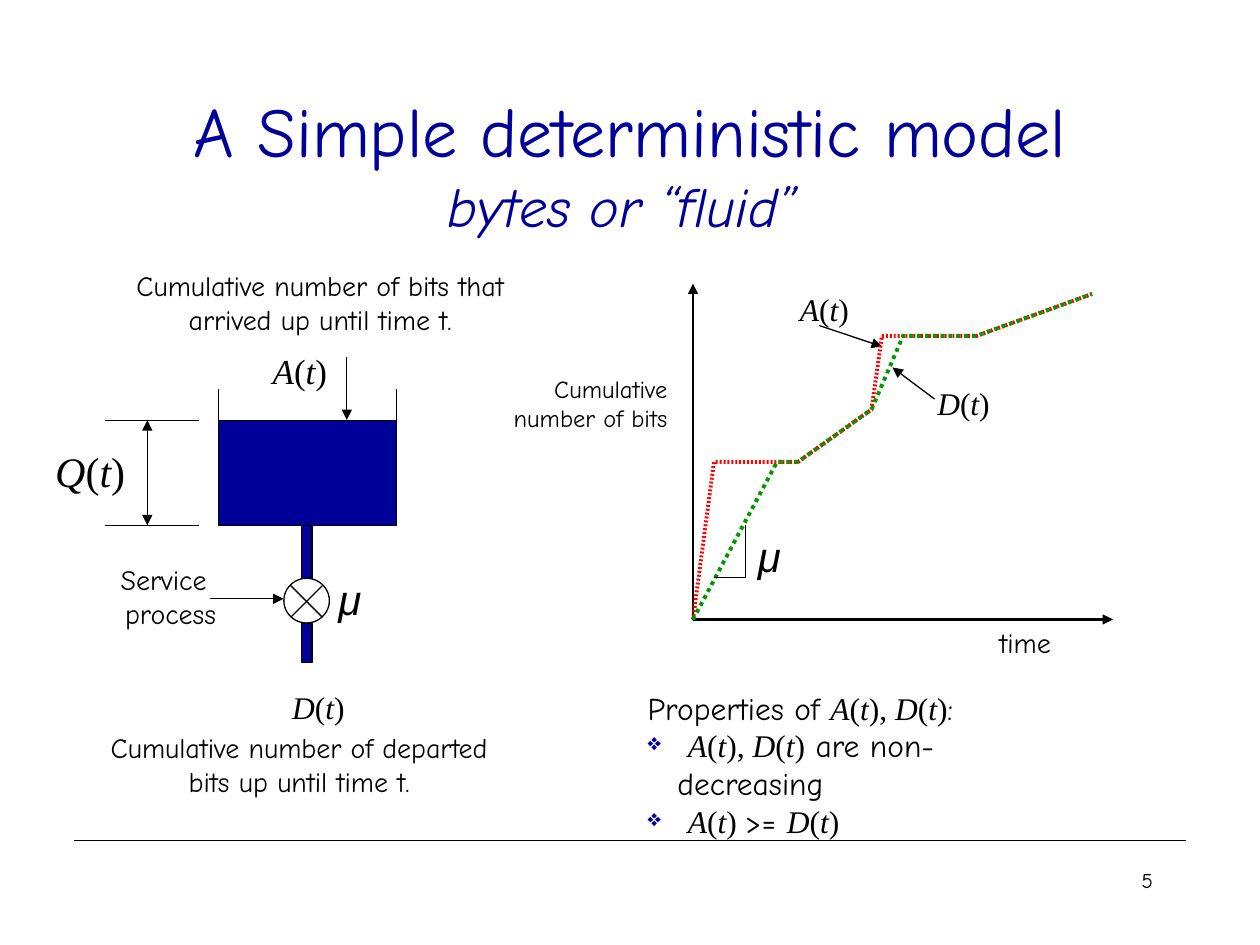
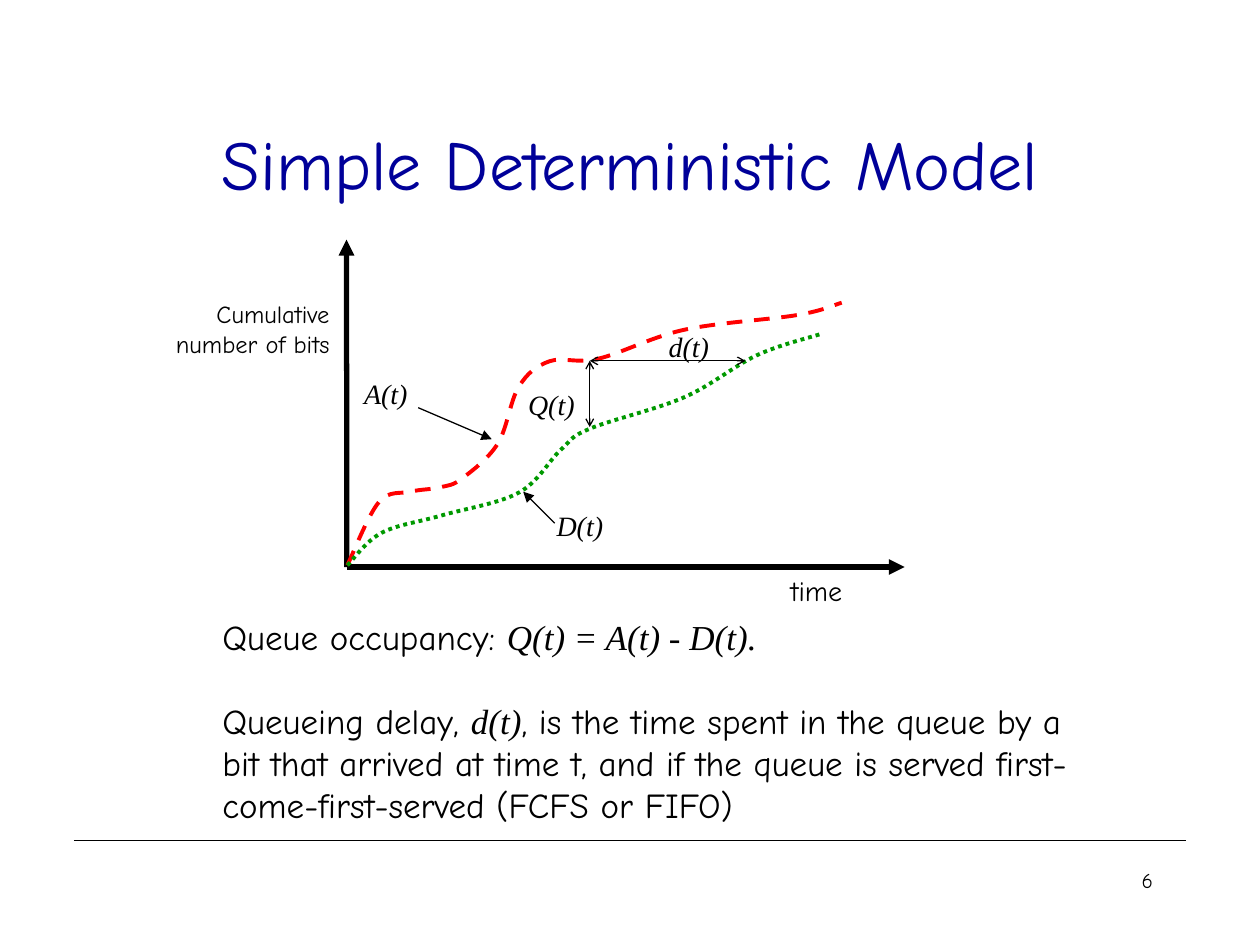
from lxml import etree
from pptx import Presentation
from pptx.dml.color import RGBColor
from pptx.enum.dml import MSO_LINE
from pptx.enum.shapes import MSO_CONNECTOR, MSO_SHAPE
from pptx.enum.text import MSO_ANCHOR, MSO_AUTO_SIZE, PP_ALIGN
from pptx.oxml.ns import qn
from pptx.util import Pt

LEFT, CENTER, RIGHT = PP_ALIGN.LEFT, PP_ALIGN.CENTER, PP_ALIGN.RIGHT
TOP, MIDDLE = MSO_ANCHOR.TOP, MSO_ANCHOR.MIDDLE
GROW = MSO_AUTO_SIZE.SHAPE_TO_FIT_TEXT
STRAIGHT = MSO_CONNECTOR.STRAIGHT
RECTANGLE, OVAL = MSO_SHAPE.RECTANGLE, MSO_SHAPE.OVAL
DOT, DASH = MSO_LINE.ROUND_DOT, MSO_LINE.DASH


class Theme:
    black = RGBColor(0x00, 0x00, 0x00)
    navy = RGBColor(0x00, 0x00, 0x99)
    red = RGBColor(0xFF, 0x00, 0x00)
    green = RGBColor(0x00, 0x99, 0x00)
    page_number, axis_label, body, label, formula, symbol = 12, 14, 16, 18, 20, 24
    title = 40
    thin, medium, curve, thick = 0.75, 1.5, 2.25, 3
    styles = {
        "word": ("Comic Neue", False, black),
        "title": ("Comic Neue", False, navy),
        "subtitle": ("Comic Neue", True, navy),
        "subtitle end": ("Comic Neue", False, navy),
        "variable": ("Times New Roman", True, black),
        "math": ("Times New Roman", False, black),
        "greek": ("Arial", True, black),
    }
    fixed_sizes = {"subtitle": 32, "subtitle end": 28}
    arrow_sizes = {"triangle": "med", "arrow": "sm"}


def write_text(page, frame, paragraphs, size, align=LEFT, wrap=True, anchor=TOP):
    box = page.shapes.add_textbox(*(Pt(value) for value in frame))
    text_frame = box.text_frame
    text_frame.word_wrap = wrap
    text_frame.vertical_anchor = anchor
    if not wrap:
        text_frame.auto_size = GROW
    for index, spans in enumerate(paragraphs):
        para = text_frame.paragraphs[0] if index == 0 else text_frame.add_paragraph()
        para.alignment = align
        for text, style in spans:
            span = para.add_run()
            span.text = text
            font_name, italic, color = Theme.styles[style]
            span.font.name = font_name
            span.font.italic = italic
            span.font.color.rgb = color
            span.font.size = Pt(Theme.fixed_sizes.get(style, size))
    return text_frame


def draw_line(page, points, color=Theme.black, width=Theme.thin, dash=None, head=None, tail=None):
    corners = [(Pt(x), Pt(y)) for x, y in points]
    if len(corners) == 2:
        shape = page.shapes.add_connector(STRAIGHT, *corners[0], *corners[1])
    else:
        builder = page.shapes.build_freeform(*corners[0])
        builder.add_line_segments(corners[1:], close=False)
        shape = builder.convert_to_shape()
        shape.fill.background()
    shape.line.color.rgb = color
    shape.line.width = Pt(width)
    if dash:
        shape.line.dash_style = dash
    properties = shape._element.spPr
    outline = properties.find(qn("a:ln"))
    for tag, arrow in (("a:headEnd", head), ("a:tailEnd", tail)):
        if arrow:
            arrow_size = Theme.arrow_sizes[arrow]
            etree.SubElement(outline, qn(tag), type=arrow, w=arrow_size, len=arrow_size)
    etree.SubElement(properties, qn("a:effectLst"))
    return properties


deck = Presentation()
deck.slide_width, deck.slide_height = Pt(720), Pt(540)
blank = deck.slide_layouts[6]

titles = [
    [[("A Simple deterministic model", "title")], [("bytes or “fluid”", "subtitle"), (" ", "subtitle end")]],
    [[("Simple Deterministic Model", "title")]],
]
pages = []
for number, title in enumerate(titles, start=5):
    page = deck.slides.add_slide(blank)
    draw_line(page, [(42.2, 480.2), (678, 480.2)])
    write_text(page, (54, 48, 612, 90), title, Theme.title, CENTER, anchor=MIDDLE)
    write_text(page, (516, 492, 150, 36), [[(str(number), "word")]], Theme.page_number, RIGHT)
    pages.append(page)
fluid_page, delay_page = pages

for page, left, top in ((fluid_page, 284.5, 210), (delay_page, 91.5, 167.4)):
    write_text(page, (left, top, 104, 41), [[("Cumulative", "word")], [("number of bits", "word")]],
               Theme.axis_label, RIGHT, wrap=False)

function_of_t = {
    name: [(name, "variable"), ("(", "math"), ("t", "variable"), (")", "math")]
    for name in "ADQ"
}

tank_left, tank_right, tank_top, tank_bottom = 124.7, 226.5, 240.5, 300.2
for wall in (tank_left, tank_right):
    draw_line(fluid_page, [(wall, 222.5), (wall, tank_bottom)])
vessel_parts = [
    (RECTANGLE, tank_left, tank_top, tank_right - tank_left, tank_bottom - tank_top, Theme.navy),
    (RECTANGLE, 172.4, tank_bottom, 6, 30.3, Theme.navy),
    (RECTANGLE, 172.4, 356.5, 6, 22, Theme.navy),
    (OVAL, 162.2, 330.5, 26, 25.5, None),
]
for kind, left, top, width, height, color in vessel_parts:
    part = fluid_page.shapes.add_shape(kind, Pt(left), Pt(top), Pt(width), Pt(height))
    part.shadow.inherit = False
    if color:
        part.fill.solid()
        part.fill.fore_color.rgb = color
    else:
        part.fill.background()
    part.line.color.rgb = Theme.black
    part.line.width = Pt(Theme.thin)
for start, end in ((166.2, 184.2), (184.2, 166.2)):
    draw_line(fluid_page, [(start, 334.7), (end, 352.7)])

queue_top, queue_bottom = 240.2, 300.2
for level in (queue_top, queue_bottom):
    draw_line(fluid_page, [(60, level), (114, level)])
draw_line(fluid_page, [(84.2, queue_top), (84.2, queue_bottom)], head="triangle", tail="triangle")

pointers = [
    (fluid_page, (198.2, 204), (198.2, 240)),
    (fluid_page, (120, 342.2), (162, 342.2)),
    (fluid_page, (534, 228), (510, 210)),
    (fluid_page, (468, 186), (504, 198)),
    (delay_page, (239, 233), (281, 251)),
    (delay_page, (317, 299), (299, 281)),
]
for page, start, end in pointers:
    draw_line(page, [start, end], tail="triangle")

draw_line(fluid_page, [(396, 162), (396, 354), (636, 354)], width=Theme.medium,
          head="triangle", tail="triangle")
shared_middle = [(456, 264), (498, 234)]
shared_end = [(558, 192), (624, 168)]
for first_step, second_step, color in ((408, 504, Theme.red), (444, 516, Theme.green)):
    points = [(396, 354), (first_step, 264), *shared_middle, (second_step, 192), *shared_end]
    curve = draw_line(fluid_page, points, color, Theme.curve, DOT)
    if color == Theme.red:
        outline = curve.find(qn("a:ln"))
        preset_dash = outline.find(qn("a:prstDash"))
        fine_dash = etree.Element(qn("a:custDash"))
        etree.SubElement(fine_dash, qn("a:ds"), d="50000", sp="50000")
        outline.replace(preset_dash, fine_dash)
draw_line(fluid_page, [(408, 330), (426, 330), (426, 300)])

symbols = [
    ((145, 196, 49, 32), function_of_t["A"], Theme.formula, RIGHT),
    ((156, 389.5, 48, 29), function_of_t["D"], Theme.label, RIGHT),
    ((450, 162, 46, 29), function_of_t["A"], Theme.label, LEFT),
    ((528.5, 216, 48, 29), function_of_t["D"], Theme.label, LEFT),
    ((24.5, 251, 58, 36), function_of_t["Q"], Theme.symbol, LEFT),
    ((426, 299.5, 28, 36), [("μ", "greek")], Theme.symbol, LEFT),
    ((186.3, 324, 28, 36), [("μ", "greek")], Theme.symbol, LEFT),
]
for frame, spans, size, align in symbols:
    write_text(fluid_page, frame, [spans], size, align, wrap=False)

captions = [
    (fluid_page, (66, 150, 234, 46), ["Cumulative number of bits that arrived up until time t."], "word", CENTER),
    (fluid_page, (54, 414, 234, 46), ["Cumulative number of departed bits up until time t."], "word", CENTER),
    (fluid_page, (54, 318, 76.5, 46), ["Service ", "process"], "word", RIGHT),
    (fluid_page, (564, 354, 48, 27), ["time"], "word", LEFT),
    (delay_page, (444.7, 324, 76, 27), ["time"], "word", LEFT),
    (delay_page, (311, 287, 51, 27), ["D(t)"], "variable", LEFT),
    (delay_page, (201, 211.4, 46, 27), ["A(t)"], "variable", LEFT),
    (delay_page, (294.7, 217.7, 51, 27), ["Q(t)"], "variable", LEFT),
    (delay_page, (375, 185, 51, 27), ["d(t)"], "variable", LEFT),
]
for page, frame, lines, style, align in captions:
    write_text(page, frame, [[(line, style)] for line in lines], Theme.body, align)

both_functions = [*function_of_t["A"], (", ", "math"), *function_of_t["D"]]
properties_text = write_text(
    fluid_page, (363, 390, 257, 72),
    [
        [("Properties of ", "word"), *both_functions, (":", "word")],
        [(" ", "word"), *both_functions, (" are non-decreasing", "word")],
        [(" ", "word"), *function_of_t["A"], (" ", "math"), (">= ", "word"), *function_of_t["D"]],
    ],
    Theme.label,
)
for para in properties_text.paragraphs[1:]:
    bullet = para._p.get_or_add_pPr()
    bullet.set("marL", str(Pt(17)))
    bullet.set("indent", str(Pt(-17)))
    bullet_color = etree.SubElement(bullet, qn("a:buClr"))
    etree.SubElement(bullet_color, qn("a:srgbClr"), val=str(Theme.navy))
    etree.SubElement(bullet, qn("a:buSzPct"), val="75000")
    etree.SubElement(bullet, qn("a:buChar"), char="❖")

for axis_end in ((517, 324), (198, 137)):
    draw_line(delay_page, [(198.2, 324), axis_end], width=Theme.thick, tail="triangle")

arrival_knots = [(198.5, 323), (216.5, 287), (234.5, 281), (251.5, 278.5), (264, 273.5), (284.5, 253.5),
                 (296.5, 221), (314, 206.5), (342, 205), (391, 188.5), (456, 180), (481, 173)]
departure_knots = [(198.5, 323), (218, 304.5), (252.5, 294.5), (296.5, 281.5), (320.5, 257),
                   (337, 245), (391, 227), (432.5, 203), (468.5, 191)]
for knots, color, dash in ((arrival_knots, Theme.red, DASH), (departure_knots, Theme.green, DOT)):
    curve = draw_line(delay_page, knots, color, Theme.curve, dash)
    local_knots = [(int(point.get("x")), int(point.get("y"))) for point in curve.iter(qn("a:pt"))]
    padded = [local_knots[0], *local_knots, local_knots[-1]]
    segments = list(curve.iter(qn("a:lnTo")))
    for segment, before, start, end, after in zip(segments, padded, padded[1:], padded[2:], padded[3:]):
        leaving = [b + (c - a) / 6 for a, b, c in zip(before, start, end)]
        arriving = [c - (d - b) / 6 for b, c, d in zip(start, end, after)]
        bend = etree.Element(qn("a:cubicBezTo"))
        for x, y in (leaving, arriving, end):
            etree.SubElement(bend, qn("a:pt"), x=str(round(x)), y=str(round(y)))
        segment.getparent().replace(segment, bend)

for measure_end in ((337, 244), (426, 206.2)):
    draw_line(delay_page, [(337, 206.2), measure_end], head="arrow", tail="arrow")

definitions = write_text(
    delay_page, (120, 348, 510, 127),
    [
        [("Queue occupancy: ", "word"), ("Q(t) = A(t) - D(t).", "variable")],
        [("Queueing delay, ", "word"), ("d(t)", "variable"),
         (", is the time spent in the queue by a bit that arrived at time t, and if the queue is served "
          "first-come-first-served (FCFS or FIFO)", "word")],
    ],
    Theme.formula,
)
definitions.paragraphs[1].space_before = Pt(24)

deck.save("out.pptx")
